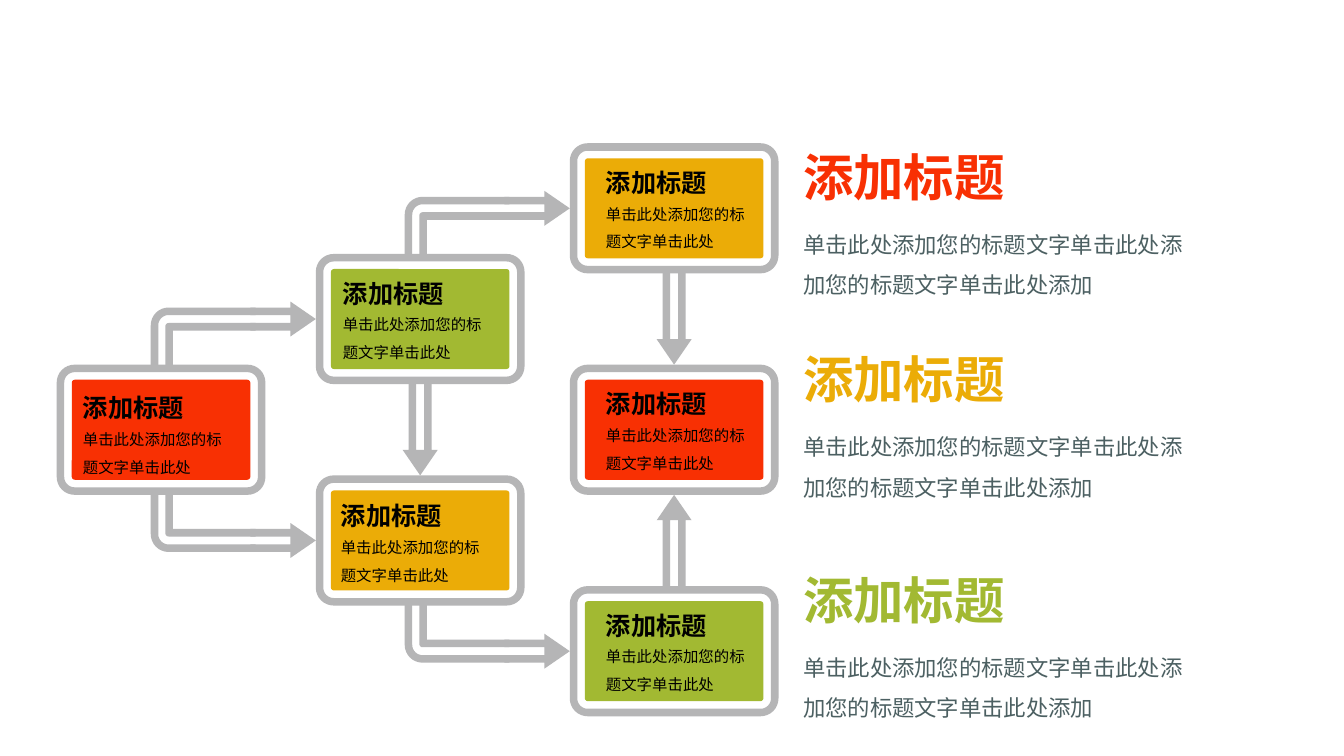
from math import cos, pi, sin
from typing import NamedTuple

from lxml.etree import SubElement
from pptx import Presentation
from pptx.dml.color import RGBColor
from pptx.enum.shapes import MSO_SHAPE
from pptx.enum.text import MSO_AUTO_SIZE
from pptx.oxml.ns import qn
from pptx.util import Cm, Pt

Point = tuple[float, float]
Path = list[Point]

COLORS = {"red": "F83003", "gold": "EBAC07", "green": "A2B932",
          "gray": "B5B5B6", "slate": "4C6062", "black": "000000"}
FONT = "Noto Sans CJK SC"
TITLE = "添加标题"
BODY = "单击此处添加您的标题文字单击此处"
LONG = "单击此处添加您的标题文字单击此处添加您的标题文字单击此处添加"

# Lengths in centimetres
COLS = (1.43, 7.96, 14.36)
TOP, STEP = 3.61, 2.79
WIDTH, HEIGHT = 5.26, 3.28
RING, INSET = 0.19, 0.38
CURVE = 0.45
OUTER, INNER = 0.29, 0.1  # rail edges, measured from the arrow's axis
NECK, BARB = 0.64, 0.44
SIDE = 19.99


class Node(NamedTuple):
    col: int
    row: int
    color: str
    dx: float = 0.66
    dy: float = 0.48

    @property
    def left(self) -> float:
        return COLS[self.col]

    @property
    def top(self) -> float:
        return TOP + STEP * self.row

    @property
    def mid(self) -> Point:
        return self.left + WIDTH / 2, self.top + HEIGHT / 2


class Note(NamedTuple):
    top: float
    color: str


START = Node(0, 2, "red", 0.41, 0.58)
UPPER = Node(1, 1, "green", 0.43)
LOWER = Node(1, 3, "gold", 0.38, 0.51)
FIRST = Node(2, 0, "gold")
CENTER = Node(2, 2, "red")
LAST = Node(2, 4, "green")
NODES = (FIRST, CENTER, LAST, UPPER, LOWER, START)
BENDS = ((UPPER, 1), (LOWER, -1), (FIRST, 1), (LAST, -1))
DROPS = ((LOWER, 1), (CENTER, 1), (CENTER, -1))
NOTES = (Note(3.56, "red"), Note(8.66, "gold"), Note(14.22, "green"))

deck = Presentation()
deck.slide_width, deck.slide_height = Cm(33.87), Cm(19.05)
slide = deck.slides.add_slide(deck.slide_layouts[6])


def paint(shape, color: str) -> None:
    shape.shadow.inherit = False
    shape.fill.solid()
    shape.fill.fore_color.rgb = RGBColor.from_string(COLORS[color])
    shape.line.fill.background()


def draw(*paths: Path) -> None:
    """Fill closed outlines in gray; a nested outline is a hole."""
    maker = None
    for path in paths:
        dots = [(Cm(x), Cm(y)) for x, y in path]
        if maker is None:
            maker = slide.shapes.build_freeform(*dots[0], scale=1.0)
        else:
            maker.move_to(*dots[0])
        maker.add_line_segments(dots[1:], close=True)
    paint(maker.convert_to_shape(), "gray")


def arc(x: float, y: float, radius: float, turn: int, way: int = 1) -> Path:
    """Quarter circle around (x, y), starting after `turn` quarter turns."""
    angles = [(turn + way * i / 8) * pi / 2 for i in range(9)]
    return [(x + radius * cos(a), y + radius * sin(a)) for a in angles]


def ring(node: Node, inset: float) -> Path:
    radius = CURVE - inset
    left, top = node.left + CURVE, node.top + CURVE
    right, base = node.left + WIDTH - CURVE, node.top + HEIGHT - CURVE
    spots = ((right, base), (left, base), (left, top), (right, top))
    return [dot for turn, (x, y) in enumerate(spots)
            for dot in arc(x, y, radius, turn)]


def arrow(tip: Point, way: Point, size: float) -> None:
    """Double-railed arrow of a given length that points along `way`."""
    half = [(size, INNER), (size, OUTER), (NECK, OUTER), (NECK, BARB)]
    rails = [(NECK, -INNER), *[(a, -b) for a, b in half], (0, 0),
             *[(a, b) for a, b in reversed(half)], (NECK, INNER)]
    (x, y), (u, v) = tip, way
    draw([(x - a * u - b * v, y - a * v + b * u) for a, b in rails])


def bend(node: Node, flip: int) -> None:
    """Elbow into the left side of a node; flip is 1 when it comes from below."""
    tip = node.left, node.mid[1]
    end, foot = -1.52, 1.22
    left = -4.16
    hub = left + CURVE, CURVE - OUTER
    wall = left + OUTER + INNER - 0.02
    wide = [(end, -OUTER), *arc(*hub, CURVE, 3, -1), (left, foot),
            (left + RING, foot), *arc(*hub, CURVE - RING, 2), (end, -INNER)]
    tight = [(end, INNER), *arc(wall + 0.08, INNER + 0.08, 0.08, 3, -1),
             (wall, foot), (wall + RING, foot), (wall + RING, OUTER),
             (end, OUTER)]
    draw(*[[(tip[0] + x, tip[1] + flip * y) for x, y in path]
           for path in (wide, tight)])
    arrow(tip, (1, 0), 1.65)


def write(text: str, left: float, top: float, width: float, height: float,
          size: int, color: str, bold: bool = False) -> None:
    box = slide.shapes.add_textbox(Cm(left), Cm(top), Cm(width), Cm(height))
    frame = box.text_frame
    frame.word_wrap = True
    frame.auto_size = MSO_AUTO_SIZE.SHAPE_TO_FIT_TEXT
    para = frame.paragraphs[0]
    para.text = text
    if not bold:
        para.line_spacing = 1.5
    font = para.font
    font.size, font.bold = Pt(size), bold
    font.color.rgb = RGBColor.from_string(COLORS[color])
    font.name = FONT
    SubElement(font._rPr, qn("a:ea"), typeface=FONT)


def card(node: Node) -> None:
    draw(ring(node, 0), ring(node, RING))
    panel = slide.shapes.add_shape(
        MSO_SHAPE.ROUNDED_RECTANGLE, Cm(node.left + INSET), Cm(node.top + INSET),
        Cm(WIDTH - 2 * INSET), Cm(HEIGHT - 2 * INSET))
    panel.adjustments[0] = 0.03
    paint(panel, node.color)
    left, top = node.left + node.dx, node.top + node.dy
    write(BODY, left, top + 0.71, 4.32, 1.57, 11, "black")
    write(TITLE, left, top, 4.52, 1.02, 18, "black", bold=True)


def main() -> None:
    for node, flip in BENDS:
        bend(node, flip)
    for node, way in DROPS:
        x, y = node.mid
        arrow((x, y - way * HEIGHT / 2), (0, way), 2.34)
    for node in NODES:
        card(node)
    for note in NOTES:
        write(LONG, SIDE, note.top + 1.8, 10.52, 2.31, 16, "slate")
        write(TITLE, SIDE, note.top, 6.3, 1.8, 36, note.color, bold=True)
    deck.save("out.pptx")


if __name__ == "__main__":
    main()
